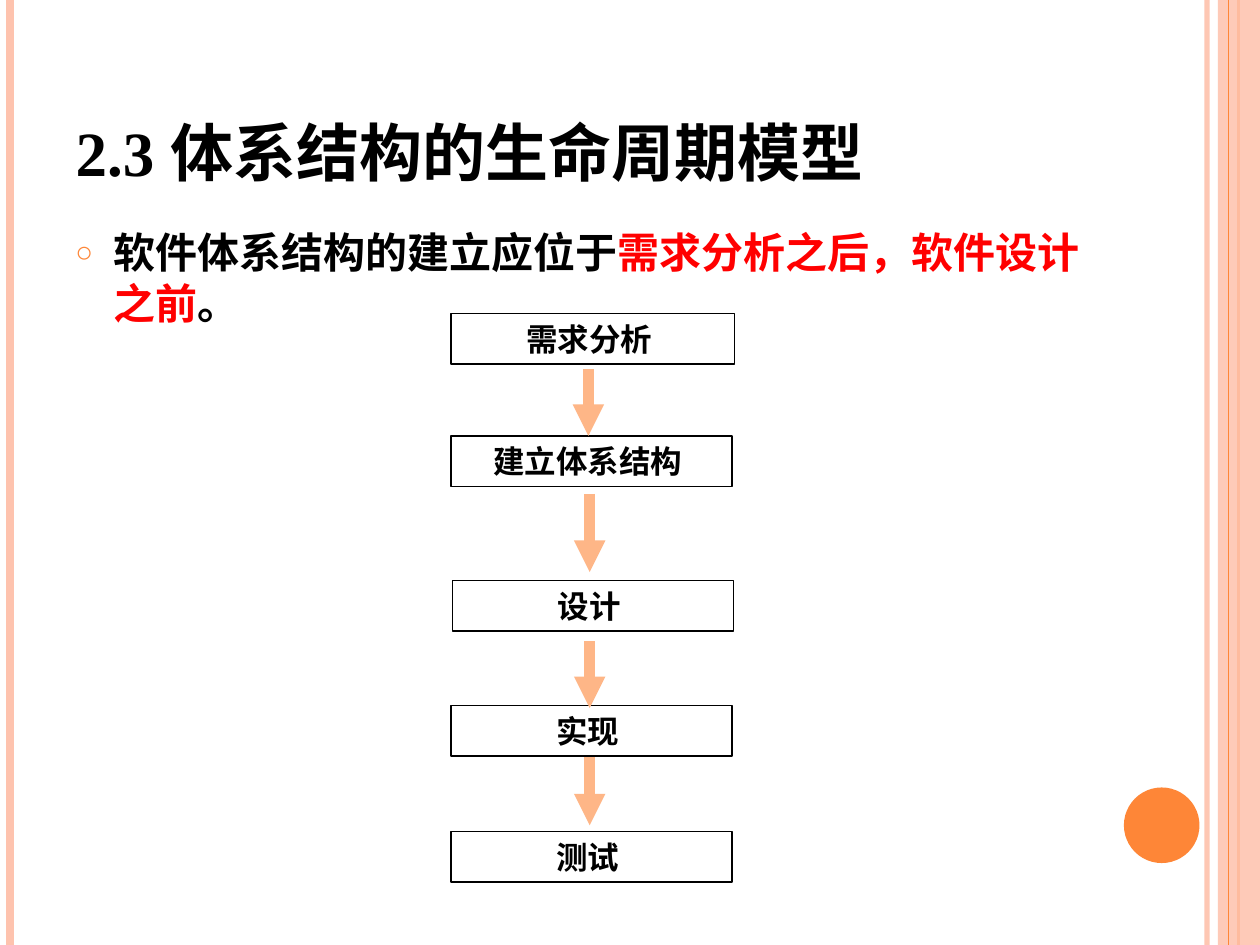
import pptx
import pptx.dml.color
import pptx.enum.dml
import pptx.enum.shapes
import pptx.enum.text
import pptx.oxml
import pptx.oxml.ns
import pptx.util
from lxml import etree

Pt = pptx.util.Pt
ALIGN = pptx.enum.text.PP_ALIGN
ANCHOR = pptx.enum.text.MSO_ANCHOR
SHAPE = pptx.enum.shapes.MSO_SHAPE
qn = pptx.oxml.ns.qn
COLORS = {name: pptx.dml.color.RGBColor.from_string(value) for name, value in {
    "black": "000000", "red": "FF0000", "orange": "FE8637",
    "arrow": "FEB687", "pale": "FEC3AE",
}.items()}


def set_alpha(fill_format, percent):
    """Set the opacity of a solid fill."""
    color = fill_format._xPr.find(qn("a:solidFill"))[0]
    etree.SubElement(color, qn("a:alpha")).set("val", str(percent * 1000))


def add_line(x, top, bottom, color, width):
    """Add a vertical line without a shadow."""
    line = slide.shapes.add_connector(
        pptx.enum.shapes.MSO_CONNECTOR.STRAIGHT, Pt(x), Pt(top), Pt(x), Pt(bottom))
    line.line.color.rgb = COLORS[color]
    line.line.width = Pt(width)
    etree.SubElement(line._element.spPr, qn("a:effectLst"))
    return line


presentation = pptx.Presentation()
presentation.slide_width, presentation.slide_height = Pt(720), Pt(540)
slide = presentation.slides.add_slide(presentation.slide_layouts[5])

# Side stripes and disc
stripe = add_line(689.76, 0, 540, "pale", 3)
set_alpha(stripe.line.fill, 93)
add_line(5.76, 0, 540, "pale", 4.5)
add_line(707.76, 0, 540, "orange", 1.5)
for kind, left, top, width, height, color in [
    (SHAPE.RECTANGLE, 696, 0, 24, 540, "pale"),
    (SHAPE.OVAL, 642.24, 450, 43.2, 43.2, "orange"),
]:
    shape = slide.shapes.add_shape(kind, Pt(left), Pt(top), Pt(width), Pt(height))
    shape.shadow.inherit = False
    shape.fill.solid()
    shape.fill.fore_color.rgb = COLORS[color]
    shape.line.fill.background()
    if kind == SHAPE.RECTANGLE:
        set_alpha(shape.fill, 87)
add_line(702, 0, 540, "orange", 0.75)

# Title
title = slide.shapes.title
title.left, title.top, title.width, title.height = Pt(36), Pt(21.6), Pt(588), Pt(90)
title.text_frame.text = "2.3 体系结构的生命周期模型"
title.text_frame.vertical_anchor = ANCHOR.BOTTOM
title.text_frame.auto_size = pptx.enum.text.MSO_AUTO_SIZE.NONE
paragraph = title.text_frame.paragraphs[0]
paragraph.alignment = ALIGN.LEFT
paragraph.font.name = "Times New Roman"
paragraph.font.size = Pt(36)
paragraph.font.bold = True
paragraph.font.color.rgb = COLORS["black"]

# Bulleted statement
body = slide.shapes.add_textbox(Pt(36), Pt(126), Pt(588), Pt(384))
body.text_frame.word_wrap = True
paragraph = body.text_frame.paragraphs[0]
paragraph.space_before = Pt(6)
paragraph.font.name = "Times New Roman"
paragraph.font.size = Pt(24)
paragraph.font.bold = True
for text, color in [
    ("软件体系结构的建立应位于", "black"),
    ("需求分析之后，软件设计之前", "red"),
    ("。", "black"),
]:
    run = paragraph.add_run()
    run.text = text
    run.font.color.rgb = COLORS[color]
properties = paragraph._p.get_or_add_pPr()
properties.set("marL", str(Pt(21.6)))
properties.set("indent", str(-Pt(21.6)))
bullet = pptx.oxml.parse_xml(
    f'<a:pPr {pptx.oxml.ns.nsdecls("a")}><a:buClr><a:srgbClr val="{COLORS["orange"]}"/></a:buClr>'
    '<a:buSzPct val="70000"/><a:buFont typeface="Arial"/><a:buChar char="○"/></a:pPr>')
position = list(properties).index(properties.find(qn("a:spcBef"))) + 1
properties[position:position] = list(bullet)

# Life cycle stages
for text, left, top, width in [
    ("需求分析 ", 257.76, 179.28, 162),
    ("建立体系结构 ", 257.76, 249.12, 160.56),
    ("设计 ", 258.48, 331.92, 160.56),
    ("实现 ", 257.76, 403.2, 160.56),
    ("测试 ", 257.76, 475.2, 160.56),
]:
    stage = slide.shapes.add_shape(
        SHAPE.RECTANGLE, Pt(left), Pt(top), Pt(width), Pt(28.8))
    stage.shadow.inherit = False
    stage.fill.background()
    stage.line.color.rgb = COLORS["black"]
    stage.line.width = Pt(0.75)
    stage.text_frame.text = text
    stage.text_frame.word_wrap = True
    stage.text_frame.vertical_anchor = ANCHOR.MIDDLE
    paragraph = stage.text_frame.paragraphs[0]
    paragraph.alignment = ALIGN.CENTER
    paragraph.font.name = "Arial"
    paragraph.font.size = Pt(18)
    paragraph.font.bold = True
    paragraph.font.color.rgb = COLORS["black"]

# Arrows between stages
for x, top, bottom in [
    (336.24, 210.96, 249.12),
    (336.96, 282.24, 326.88),
    (336.96, 366.48, 404.64),
    (336.96, 432.72, 471.6),
]:
    arrow = add_line(x, top, bottom, "arrow", 6)
    etree.SubElement(arrow.line._get_or_add_ln(), qn("a:tailEnd")).set("type", "triangle")

presentation.save("out.pptx")
